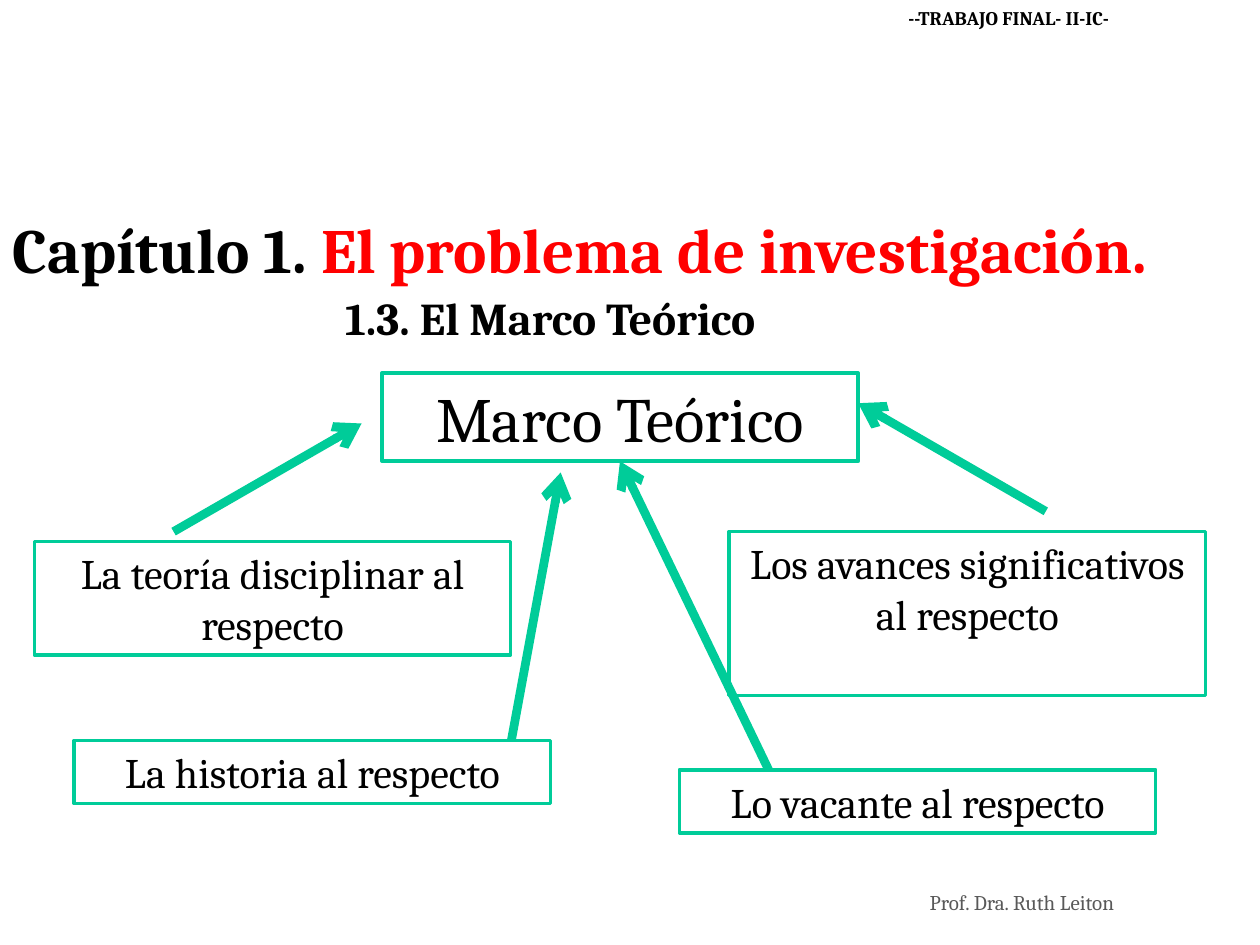
from dataclasses import dataclass

from lxml.etree import SubElement
from pptx import Presentation
from pptx.dml.color import RGBColor
from pptx.enum.shapes import MSO_CONNECTOR, MSO_SHAPE
from pptx.enum.text import MSO_ANCHOR, PP_ALIGN
from pptx.oxml.ns import qn
from pptx.util import Pt


@dataclass(frozen=True)
class Theme:
    font: str = "Cambria"
    ink: RGBColor = RGBColor(0x00, 0x00, 0x00)
    accent: RGBColor = RGBColor(0xFF, 0x00, 0x00)
    footer_ink: RGBColor = RGBColor(0x59, 0x59, 0x59)
    line: RGBColor = RGBColor(0x00, 0xCC, 0x99)
    title_size: int = 36
    subtitle_size: int = 26
    idea_size: int = 24
    footer_size: int = 12
    header_size: int = 11
    frame_width: int = 2
    arrow_width: int = 5


THEME = Theme()
BOX_WIDTH = 272.2


def write(shape, text, size, align=PP_ALIGN.LEFT, color=THEME.ink, bold=False):
    """Fill a shape with one paragraph and return that paragraph."""
    frame = shape.text_frame
    frame.word_wrap = True
    frame.vertical_anchor = MSO_ANCHOR.TOP
    para = frame.paragraphs[0]
    para.alignment = align
    para.add_run().text = text
    para.font.name = THEME.font
    para.font.size = Pt(size)
    para.font.bold = bold
    para.font.color.rgb = color
    return para


def add_label(page, left, top, width, height, text, size, **style):
    label = page.shapes.add_textbox(Pt(left), Pt(top), Pt(width), Pt(height))
    return write(label, text, size, **style)


def add_idea(page, left, top, height, text, size=THEME.idea_size):
    box = page.shapes.add_shape(
        MSO_SHAPE.RECTANGLE, Pt(left), Pt(top), Pt(BOX_WIDTH), Pt(height))
    box.shadow.inherit = False
    box.fill.background()
    box.line.color.rgb = THEME.line
    box.line.width = Pt(THEME.frame_width)
    write(box, text, size, align=PP_ALIGN.CENTER)
    return box


def add_arrow(page, start, end):
    arrow = page.shapes.add_connector(
        MSO_CONNECTOR.STRAIGHT, *(Pt(value) for value in (*start, *end)))
    arrow.line.color.rgb = THEME.line
    arrow.line.width = Pt(THEME.arrow_width)
    properties = arrow.line._get_or_add_ln()
    SubElement(properties, qn("a:tailEnd"), type="arrow")
    SubElement(arrow._element.spPr, qn("a:effectLst"))
    return arrow


def main():
    deck = Presentation()
    deck.slide_width, deck.slide_height = Pt(720), Pt(540)
    page = deck.slides.add_slide(deck.slide_layouts[6])

    # Headings
    title = add_label(page, 0, 116.6, 720, 93.6, "Capítulo 1. ",
                      THEME.title_size, bold=True)
    topic = title.add_run()
    topic.text = "El problema de investigación."
    topic.font.color.rgb = THEME.accent
    add_label(page, 190.1, 162, 357, 39, "1.3. El Marco Teórico",
              THEME.subtitle_size, bold=True)

    # Central concept and the ideas that feed it
    concept = add_idea(page, 218.2, 213.2, 50.4, "Marco Teórico", THEME.title_size)
    for left, top, height, text in (
        (19.6, 309.5, 64.8, "La teoría disciplinar al respecto"),
        (416.7, 303.8, 93.6, "Los avances significativos al respecto"),
        (42.4, 423.2, 36, "La historia al respecto"),
        (388.2, 439.9, 36, "Lo vacante al respecto"),
    ):
        add_idea(page, left, top, height, text)

    # Arrows towards the concept
    add_arrow(page, (99.2, 303.8), (206.6, 242))
    add_arrow(page, (597.6, 292.2), (490.4, 230.4))
    add_arrow(page, (292.2, 423.2), (320.4, 270))
    gap_arrow = add_arrow(page, (439.2, 439.9), (354.3, 263.6))
    gap_arrow.end_connect(concept, 2)

    # Footer and header
    add_label(page, 524.2, 504.7, 156.2, 21.6, "Prof. Dra. Ruth Leiton",
              THEME.footer_size, color=THEME.footer_ink)
    add_label(page, 399.6, 0, 241.2, 20.9, "--TRABAJO FINAL- II-IC-",
              THEME.header_size, align=PP_ALIGN.RIGHT, bold=True)

    deck.save("out.pptx")


if __name__ == "__main__":
    main()
